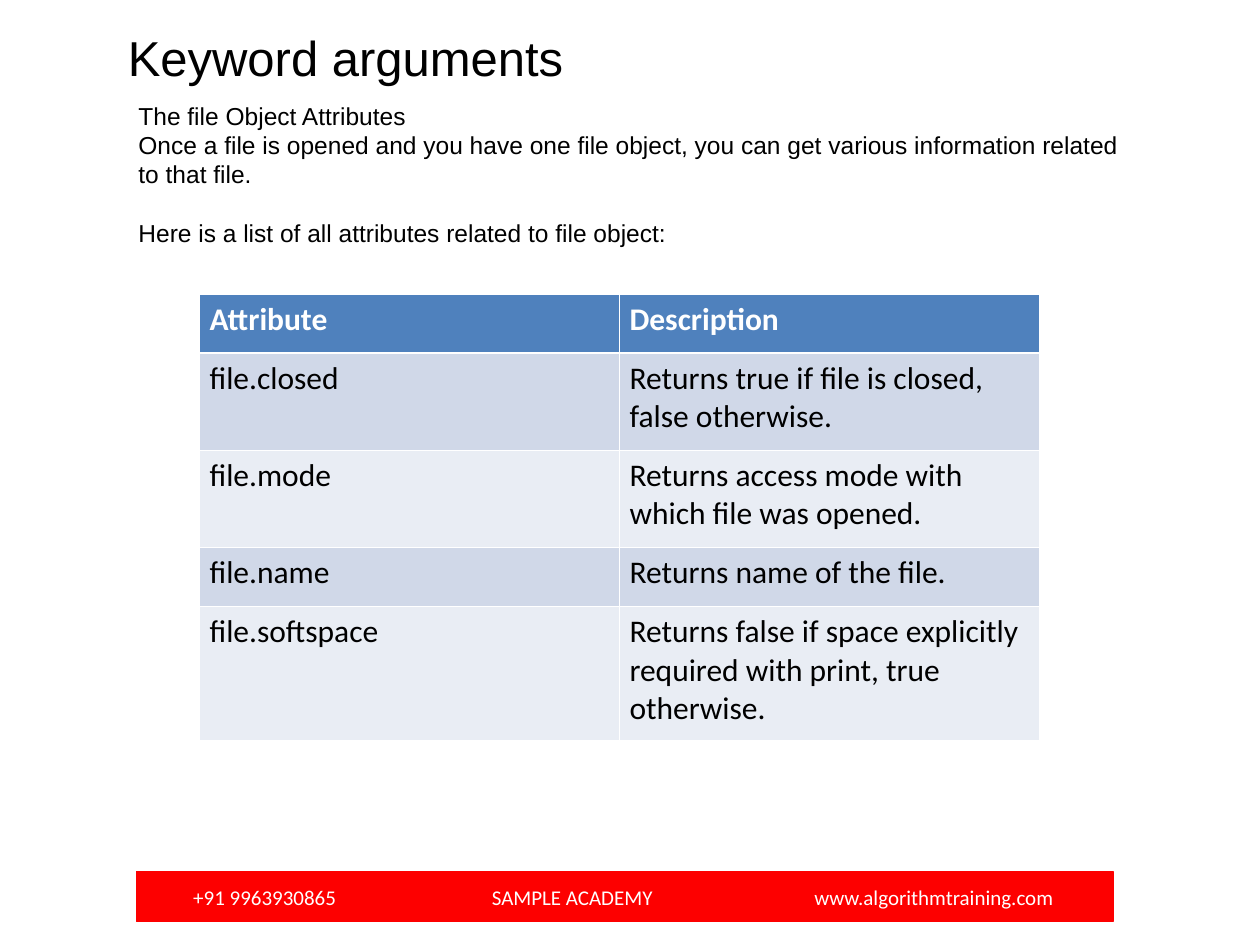
from dataclasses import dataclass

from lxml.etree import SubElement
from pptx import Presentation
from pptx.dml.color import RGBColor
from pptx.enum.shapes import MSO_SHAPE as Preset
from pptx.enum.text import MSO_ANCHOR as Anchor
from pptx.oxml.ns import qn
from pptx.util import Inches, Pt

PAGE_WIDTH, PAGE_HEIGHT = Inches(10), Inches(7.5)
GRID_COLUMNS, GRID_ROWS = 120, 90
BLACK = RGBColor(0x00, 0x00, 0x00)
WHITE = RGBColor(0xFF, 0xFF, 0xFF)
RED = RGBColor(0xFD, 0x00, 0x00)
HEADER_BLUE = RGBColor(0x4F, 0x81, 0xBD)
BANDS = RGBColor(0xD0, 0xD8, 0xE8), RGBColor(0xE9, 0xED, 0xF4)
THIN, THICK = Pt(0.45), Pt(1.47)


@dataclass(frozen=True)
class Area:
    column: float
    row: float
    columns: float
    rows: float

    def lengths(self) -> tuple[int, int, int, int]:
        across, down = PAGE_WIDTH / GRID_COLUMNS, PAGE_HEIGHT / GRID_ROWS
        return (round(self.column * across), round(self.row * down),
                round(self.columns * across), round(self.rows * down))


@dataclass(frozen=True)
class Line:
    text: str
    gap: float = 0


@dataclass(frozen=True)
class TextBlock:
    area: Area
    size: int
    lines: tuple[Line, ...]


@dataclass(frozen=True)
class TableRow:
    attribute: str
    description: str
    height: float


TEXT_BLOCKS = (
    TextBlock(Area(12, 9, 98, 20.9), 14, (
        Line("The file Object Attributes"),
        Line("Once a file is opened and you have one file object, you can get "
             "various information related to that file."),
        Line("Here is a list of all attributes related to file object:", 16.9),
    )),
    TextBlock(Area(11, 2, 90, 6.84), 28, (Line("Keyword arguments"),)),
)

TABLE_AREA = Area(19, 28, 80, 42.4)
TABLE_ROWS = (
    TableRow("Attribute", "Description", 0.47),
    TableRow("file.closed", "Returns true if file is closed, false otherwise.", 0.77),
    TableRow("file.mode", "Returns access mode with which file was opened.", 0.77),
    TableRow("file.name", "Returns name of the file.", 0.47),
    TableRow("file.softspace", "Returns false if space explicitly required with print, "
             "true otherwise.", 1.06),
)

FOOTER_AREA = Area(13, 83, 93, 4.8)
FOOTER_PARTS = "+91 9963930865", "SAMPLE ACADEMY", "www.algorithmtraining.com"
FOOTER_INSET = Inches(0.45)
FOOTER_TABS = Inches(2.37), Inches(4.93)


def set_font(para, name: str, size: int, color: RGBColor, bold: bool = False) -> None:
    font = para.font
    font.name, font.size, font.bold = name, Pt(size), bold
    font.color.rgb = color


def add_text_block(page, block: TextBlock) -> None:
    frame = page.shapes.add_textbox(*block.area.lengths()).text_frame
    frame.word_wrap = True
    for index, line in enumerate(block.lines):
        para = frame.add_paragraph() if index else frame.paragraphs[0]
        para.text = line.text
        if line.gap:
            para.space_before = Pt(line.gap)
        set_font(para, "Arial", block.size, BLACK)


def add_borders(cell, top: int, bottom: int) -> None:
    properties = cell._tc.get_or_add_tcPr()
    for side, width in (("L", THIN), ("R", THIN), ("T", top), ("B", bottom)):
        border = SubElement(properties, qn(f"a:ln{side}"), w=str(width))
        fill = SubElement(border, qn("a:solidFill"))
        SubElement(fill, qn("a:srgbClr"), val=str(WHITE))


def fill_cell(cell, text: str, row: int) -> None:
    header = row == 0
    add_borders(cell, THICK if row == 1 else THIN, THICK if header else THIN)
    cell.fill.solid()
    cell.fill.fore_color.rgb = HEADER_BLUE if header else BANDS[(row - 1) % 2]
    cell.margin_left = cell.margin_right = Inches(0.08)
    cell.margin_top = cell.margin_bottom = Inches(0.05)
    cell.text = text
    set_font(cell.text_frame.paragraphs[0], "Calibri", 18,
             WHITE if header else BLACK, header)


def add_attribute_table(page) -> None:
    table = page.shapes.add_table(len(TABLE_ROWS), 2, *TABLE_AREA.lengths()).table
    for index, row in enumerate(TABLE_ROWS):
        table.rows[index].height = Inches(row.height)
        for column, text in enumerate((row.attribute, row.description)):
            fill_cell(table.cell(index, column), text, index)


def add_footer(page) -> None:
    bar = page.shapes.add_shape(Preset.RECTANGLE, *FOOTER_AREA.lengths())
    bar.shadow.inherit = False
    bar.fill.solid()
    bar.fill.fore_color.rgb = bar.line.color.rgb = RED
    bar.line.width = Pt(0.75)
    frame = bar.text_frame
    frame.word_wrap = True
    frame.vertical_anchor = Anchor.MIDDLE
    frame.margin_left = FOOTER_INSET
    para = frame.paragraphs[0]
    para.text = "\t".join(FOOTER_PARTS)
    properties = para._p.get_or_add_pPr()
    properties.set("algn", "l")
    tabs = SubElement(properties, qn("a:tabLst"))
    for position in FOOTER_TABS:
        SubElement(tabs, qn("a:tab"), pos=str(position), algn="l")
    set_font(para, "Calibri", 12, WHITE)


def main() -> None:
    deck = Presentation()
    deck.slide_width, deck.slide_height = PAGE_WIDTH, PAGE_HEIGHT
    page = deck.slides.add_slide(deck.slide_layouts[6])
    for block in TEXT_BLOCKS:
        add_text_block(page, block)
    add_footer(page)
    add_attribute_table(page)
    deck.save("out.pptx")


if __name__ == "__main__":
    main()
